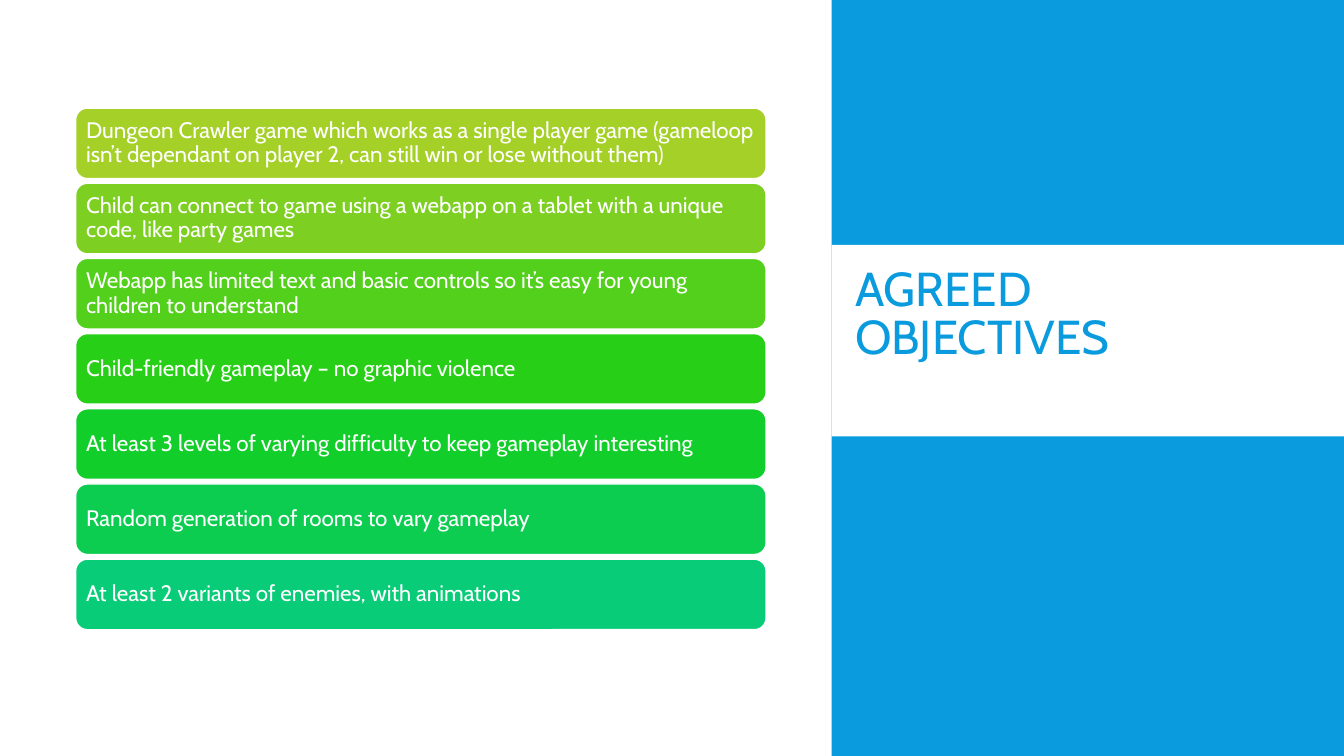
from pptx import Presentation
from pptx.dml.color import RGBColor
from pptx.enum.shapes import MSO_SHAPE
from pptx.enum.text import MSO_ANCHOR, PP_ALIGN
from pptx.util import Inches, Pt

RECT, ROUND = MSO_SHAPE.RECTANGLE, MSO_SHAPE.ROUNDED_RECTANGLE
MIDDLE, LEFT = MSO_ANCHOR.MIDDLE, PP_ALIGN.LEFT
COLS, ROWS = 160, 90
BLUE, WHITE = "099BDD", "FFFFFF"

OBJECTIVES = [
    ("A5D028", "Dungeon Crawler game which works as a single player game "
               "(gameloop isn’t dependant on player 2, can still win or lose without them)"),
    ("7DD022", "Child can connect to game using a webapp on a tablet "
               "with a unique code, like party games"),
    ("53D01C", "Webapp has limited text and basic controls so it’s easy "
               "for young children to understand"),
    ("27CF17", "Child-friendly gameplay – no graphic violence"),
    ("12CE2B", "At least 3 levels of varying difficulty to keep gameplay interesting"),
    ("0DCD51", "Random generation of rooms to vary gameplay"),
    ("08CC78", "At least 2 variants of enemies, with animations"),
]


def rgb(value):
    return RGBColor.from_string(value)


def write(tf, text, size, color, font="Cabin", spacing=0.9, margins=(0.07,) * 4):
    tf.word_wrap = True
    tf.vertical_anchor = MIDDLE
    tf.margin_left, tf.margin_top, tf.margin_right, tf.margin_bottom = map(Inches, margins)
    p = tf.paragraphs[0]
    p.alignment = LEFT
    p.line_spacing = spacing
    r = p.add_run()
    r.text = text
    r.font.name, r.font.size, r.font.color.rgb = font, Pt(size), rgb(color)


class Deck:
    """Holds the presentation, its grid and the current slide."""

    def __init__(self):
        self.prs = Presentation()
        self.prs.slide_width, self.prs.slide_height = Inches(13.33), Inches(7.5)
        self.s = self.prs.slides.add_slide(self.prs.slide_layouts[5])

    def box(self, col, row, cols, rows):
        x, y = self.prs.slide_width / COLS, self.prs.slide_height / ROWS
        return round(col * x), round(row * y), round(cols * x), round(rows * y)

    def shape(self, kind, grid, fill, line=None):
        sp = self.s.shapes.add_shape(kind, *self.box(*grid))
        sp.shadow.inherit = False
        sp.fill.solid()
        sp.fill.fore_color.rgb = rgb(fill)
        if line:
            sp.line.color.rgb, sp.line.width = rgb(line), Pt(1)
        else:
            sp.line.fill.background()
        return sp

    def title(self, grid, text, **fmt):
        sp = self.s.shapes.title
        sp.left, sp.top, sp.width, sp.height = self.box(*grid)
        sp.element.getparent().append(sp.element)
        write(sp.text_frame, text, **fmt)

    def card(self, grid, fill, text):
        sp = self.shape(ROUND, grid, fill, line=WHITE)
        write(sp.text_frame, text, size=16, color=WHITE)


def main():
    deck = Deck()
    deck.shape(RECT, (99, 0, 61, ROWS), BLUE)
    deck.shape(RECT, (99, 29.16, 61, 22.8), WHITE)
    deck.title((100.6, 30.7, 54.2, 19.8), "AGREED OBJECTIVES", size=34, color=BLUE,
               spacing=0.85, margins=(0.1, 0.05, 0.3, 0.55))
    for i, (fill, text) in enumerate(OBJECTIVES):
        deck.card((9, 12.87 + i * 8.95, 82.2, 8.4), fill, text)
    deck.prs.save("out.pptx")


if __name__ == "__main__":
    main()
